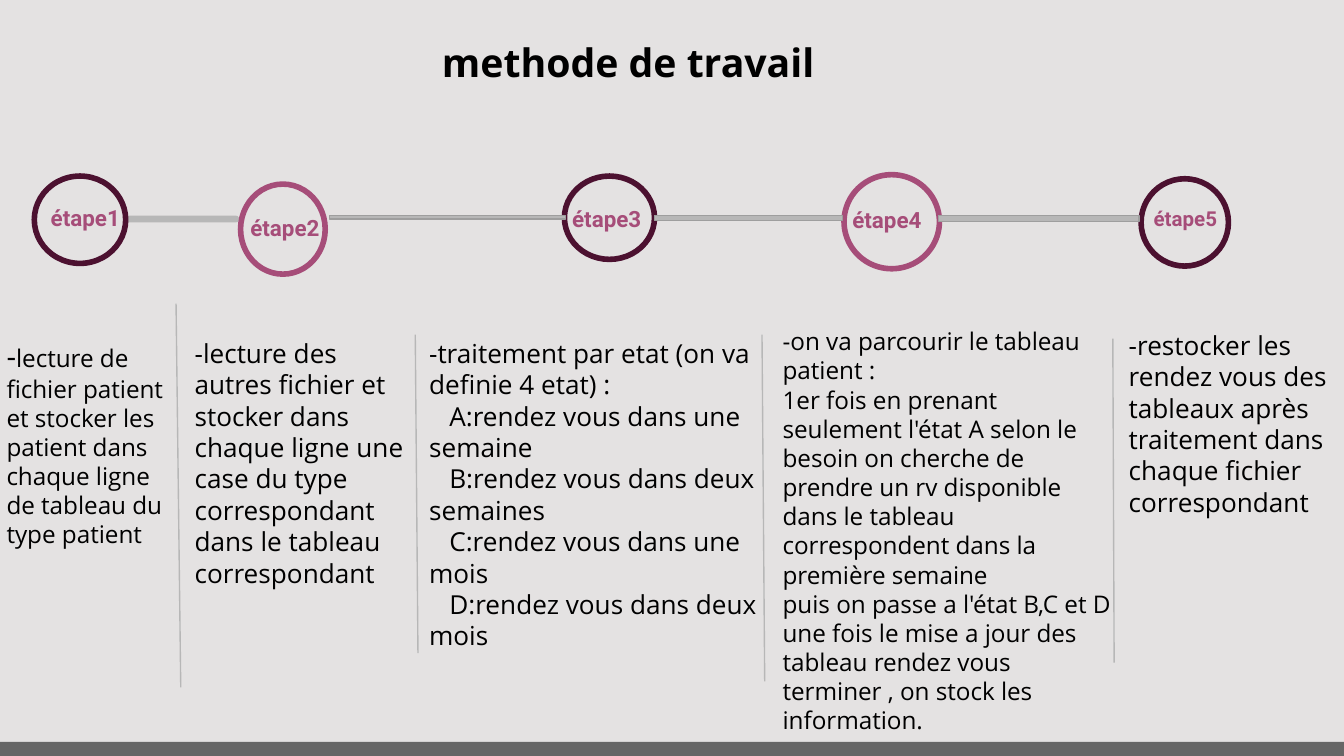
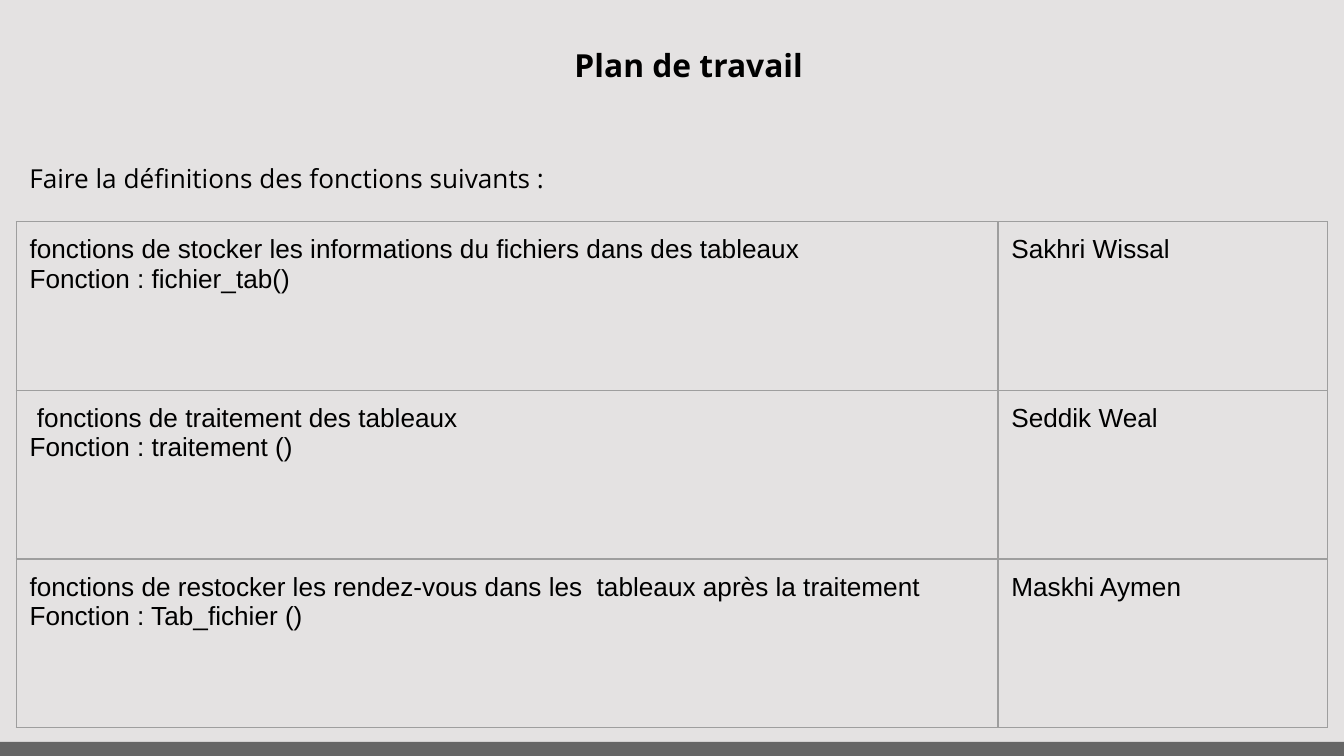
from collections import namedtuple

from lxml.etree import SubElement
from pptx import Presentation
from pptx.dml.color import RGBColor
from pptx.enum.shapes import MSO_CONNECTOR as Line, MSO_SHAPE as Preset
from pptx.enum.text import MSO_ANCHOR as Anchor, PP_ALIGN as Align
from pptx.oxml import parse_xml
from pptx.oxml.ns import nsdecls, qn
from pptx.util import Emu, Pt

PX = 4572  # 200 px to the inch
PAGE_W, PAGE_H = 2000, 1125
BAND_TOP = 1104
INSET = 20

PAPER = RGBColor(0xE4, 0xE2, 0xE2)
BAND = RGBColor(0x66, 0x66, 0x66)
INK = RGBColor(0, 0, 0)
PLUM = RGBColor(0x4C, 0x11, 0x30)
PINK = RGBColor(0xA6, 0x4D, 0x79)
SILVER = RGBColor(0xB7, 0xB7, 0xB7)
GREY = RGBColor(0x9E, 0x9E, 0x9E)

BODY_FONT, LABEL_FONT, TABLE_FONT = "Open Sans", "Roboto", "Arial"

Span = namedtuple("Span", "text size font color bold", defaults=(BODY_FONT, INK, False))
Para = namedtuple("Para", "spans indent", defaults=(0,))
Step = namedtuple("Step", "ring color label label_size label_box body_box body")


def para(text, size, font=BODY_FONT, indent=0):
    return Para([Span(text, size, font)], indent)


STEPS = [
    Step((51, 262, 136, 130), PLUM, "étape1", 12, (48, 278, 158, 70), (-10, 483, 304, 534), [
        Para([Span("-", 16),
              Span("lecture de fichier patient et stocker les patient dans "
                   "chaque ligne de tableau du type patient", 13)])]),
    Step((358, 274, 126, 134), PINK, "étape2", 12, (340, 292, 168, 98), (270, 482, 374, 416), [
        para("-lecture des autres fichier et stocker dans chaque ligne une case "
             "du type correspondant dans le tableau correspondant", 14)]),
    Step((840, 262, 134, 124), PLUM, "étape3", 12, (809, 280, 188, 70), (619, 482, 566, 488), [
        para("-traitement par etat (on va definie 4 etat) :", 14),
        para("A:rendez vous dans une semaine", 14, indent=30),
        para("B:rendez vous dans deux semaines", 14, indent=30),
        para("C:rendez vous dans une mois", 14, indent=30),
        para("D:rendez vous dans deux mois", 14, indent=30)]),
    Step((1256, 260, 142, 140), PINK, "étape4", 12, (1236, 281, 168, 120), (1145, 466, 532, 652), [
        para("-on va parcourir le tableau patient :", 13),
        para("1er fois en prenant seulement l'état A selon le besoin on cherche de "
             "prendre un rv disponible dans le tableau correspondent dans la "
             "première semaine", 13),
        para("puis on passe a l'état B,C et D une fois le mise a jour des tableau "
             "rendez vous terminer , on stock les information.", 13)]),
    Step((1698, 266, 130, 130), PLUM, "étape5", 11, (1680, 281, 168, 70), (1660, 470, 340, 416), [
        para("-restocker les rendez vous des tableaux après traitement dans "
             "chaque fichier correspondant", 14)]),
]

# box, corner rounding, outline
FIRST_BAR = ((187, 322, 168, 8), 0.5, SILVER)
LATER_BARS = [
    ((490, 321, 352, 5), 0, GREY),
    ((974, 321, 280, 7), 0, GREY),
    ((1397, 321, 298, 9), 0, GREY),
]

DIVIDERS = [
    (262, 452, 269, 1023),
    (618, 498, 622, 972),
    (1134, 498, 1138, 1014),
    (1656, 504, 1658, 986),
]

# task, first-line indent, function, person
TASKS = [
    ("fonctions de stocker les informations du fichiers dans des tableaux", 0,
     "Fonction : fichier_tab()", "Sakhri Wissal"),
    ("fonctions de traitement des tableaux", 11,
     "Fonction : traitement ()", "Seddik Weal"),
    ("fonctions de restocker les rendez-vous dans les  tableaux après la traitement", 0,
     "Fonction : Tab_fichier ()", "Maskhi Aymen"),
]
COLUMN_WIDTHS = (1461, 490)
ROW_HEIGHT = 251


def emu(*lengths):
    return [Emu(length * PX) for length in lengths]


def add_page(deck):
    """Add a blank page with the shared background and bottom band."""
    page = deck.slides.add_slide(deck.slide_layouts[6])
    page.background.fill.solid()
    page.background.fill.fore_color.rgb = PAPER
    add_preset(page, Preset.RECTANGLE, (0, BAND_TOP, PAGE_W, PAGE_H - BAND_TOP), fill=BAND)
    return page


def add_preset(page, preset, box, fill=None, line=None, weight=0.75):
    shape = page.shapes.add_shape(preset, *emu(*box))
    shape.shadow.inherit = False
    if fill is None:
        shape.fill.background()
    else:
        shape.fill.solid()
        shape.fill.fore_color.rgb = fill
    if line is None:
        shape.line.fill.background()
    else:
        shape.line.color.rgb = line
        shape.line.width = Pt(weight)
    return shape


def write(frame, paras, align=Align.LEFT, line_spacing=None, space_after=None):
    for index, content in enumerate(paras):
        target = frame.add_paragraph() if index else frame.paragraphs[0]
        target.alignment = align
        if line_spacing:
            target.line_spacing = line_spacing
        if space_after:
            target.space_after = Pt(space_after)
        if content.indent:
            target._p.get_or_add_pPr().set("indent", str(content.indent * PX))
        for span in content.spans:
            run = target.add_run()
            run.text = span.text
            run.font.size = Pt(span.size)
            run.font.name = span.font
            run.font.bold = span.bold
            run.font.color.rgb = span.color


def set_margins(holder):
    """Give a text frame or table cell the same inset on all sides."""
    (holder.margin_left, holder.margin_top,
     holder.margin_right, holder.margin_bottom) = emu(*[INSET] * 4)


def add_text(page, box, paras, anchor=Anchor.TOP, **layout):
    frame = page.shapes.add_textbox(*emu(*box)).text_frame
    frame.word_wrap = True
    frame.vertical_anchor = anchor
    set_margins(frame)
    write(frame, paras, **layout)


def add_title(page, box, text, size, **layout):
    add_text(page, box, [Para([Span(text, size, bold=True)])], **layout)


def add_step(page, step):
    add_preset(page, Preset.OVAL, step.ring, line=step.color, weight=3)
    add_text(page, step.body_box, step.body)
    label = Span(step.label, step.label_size, LABEL_FONT, PINK, True)
    add_text(page, step.label_box, [Para([label])],
             align=Align.CENTER, line_spacing=1.15, space_after=16)


def add_bar(page, box, rounding, outline):
    bar = add_preset(page, Preset.ROUNDED_RECTANGLE, box, SILVER, outline)
    bar.adjustments[0] = rounding


def add_divider(page, ends):
    divider = page.shapes.add_connector(Line.STRAIGHT, *emu(*ends))
    divider.line.color.rgb = SILVER
    divider.line.width = Pt(0.75)
    SubElement(divider._element.spPr, qn("a:effectLst"))


def add_cell_borders(cell):
    properties = cell._tc.get_or_add_tcPr()
    for index, side in enumerate(("lnL", "lnR", "lnT", "lnB")):
        properties.insert(index, parse_xml(
            f'<a:{side} {nsdecls("a")} w="{Pt(0.75)}"><a:solidFill>'
            f'<a:srgbClr val="{GREY}"/></a:solidFill></a:{side}>'))


def fill_cell(cell, paras):
    set_margins(cell)
    cell.fill.background()
    add_cell_borders(cell)
    write(cell.text_frame, paras)


def add_task_table(page, left, top):
    box = (left, top, sum(COLUMN_WIDTHS), ROW_HEIGHT * len(TASKS))
    table = page.shapes.add_table(len(TASKS), len(COLUMN_WIDTHS), *emu(*box)).table
    table.first_row = table.horz_banding = False
    for column, width in zip(table.columns, emu(*COLUMN_WIDTHS)):
        column.width = width
    for row, (task, indent, function, person) in enumerate(TASKS):
        fill_cell(table.cell(row, 0), [para(task, 14, TABLE_FONT, indent),
                                       para(function, 14, TABLE_FONT)])
        fill_cell(table.cell(row, 1), [para(person, 14, TABLE_FONT)])


def build_method_page(deck):
    page = add_page(deck)
    add_title(page, (638, 23, 1272, 124), "methode de travail", 21, anchor=Anchor.BOTTOM)
    add_bar(page, *FIRST_BAR)
    for step in STEPS:
        add_step(page, step)
    for bar in LATER_BARS:
        add_bar(page, *bar)
    for ends in DIVIDERS:
        add_divider(page, ends)


def build_plan_page(deck):
    page = add_page(deck)
    add_task_table(page, 24, 330)
    add_title(page, (403, 48, 1244, 98), "Plan de travail", 17, align=Align.CENTER)
    add_text(page, (24, 222, 1448, 88),
             [para("Faire la définitions des fonctions suivants :", 14)])


def main():
    deck = Presentation()
    deck.slide_width, deck.slide_height = emu(PAGE_W, PAGE_H)
    build_method_page(deck)
    build_plan_page(deck)
    deck.save("out.pptx")


if __name__ == "__main__":
    main()
